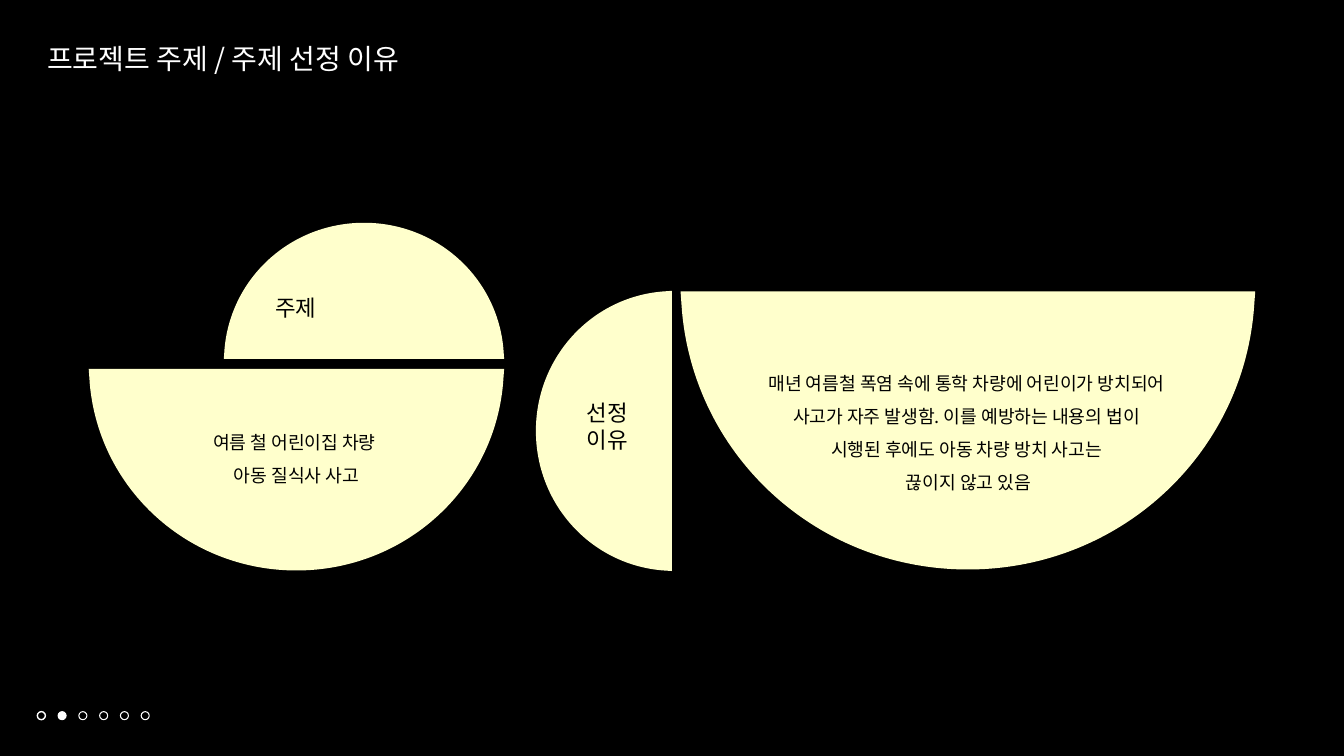
from lxml import etree
from pptx import Presentation
from pptx.dml.color import RGBColor
from pptx.enum.shapes import MSO_SHAPE
from pptx.enum.text import MSO_ANCHOR, MSO_AUTO_SIZE, PP_ALIGN
from pptx.oxml.ns import qn
from pptx.util import Inches, Pt

BLACK = RGBColor(0x00, 0x00, 0x00)
WHITE = RGBColor(0xFF, 0xFF, 0xFF)
CREAM = RGBColor(0xFF, 0xFF, 0xCC)
FONT = "Noto Sans CJK KR"
OVAL = MSO_SHAPE.OVAL
CENTER, MIDDLE = PP_ALIGN.CENTER, MSO_ANCHOR.MIDDLE
FIT_SHAPE = MSO_AUTO_SIZE.SHAPE_TO_FIT_TEXT
UP, DOWN = 1, -1
# Two curve handles and the curve's end, as fractions of the radius from the apex
CURVE = [(0.52, 0), (0.95, 0.39), (0.995, 0.9)]
PAGE_COUNT, CURRENT_PAGE = 6, 1


def curve_through(lines):
    """Turn three consecutive line segments into one Bezier curve."""
    curve = etree.Element(qn("a:cubicBezTo"))
    lines[0].addprevious(curve)
    for line in lines:
        curve.append(line[0])
        line.getparent().remove(line)


def add_half_disc(slide, apex_x, apex_y, radius, depth, facing, rotation=0):
    right = [(x * radius, y * radius) for x, y in CURVE] + [(radius, depth)]
    left = [(-x, y) for x, y in reversed(right)]
    points = [(Inches(apex_x + x), Inches(apex_y + facing * y))
              for x, y in [(0, 0)] + right + left + [(0, 0)]]
    builder = slide.shapes.build_freeform(*points[0])
    builder.add_line_segments(points[1:], close=True)
    s = builder.convert_to_shape()
    lines = list(s._element.iter(qn("a:lnTo")))
    curve_through(lines[:3])
    curve_through(lines[-3:])
    s.rotation = rotation
    s.shadow.inherit = False
    s.fill.solid()
    s.fill.fore_color.rgb = CREAM
    s.line.fill.background()


def add_text(slide, box, lines, size, color=BLACK):
    s = slide.shapes.add_textbox(*(Inches(v) for v in box))
    tf = s.text_frame
    tf.text = "\n".join(lines)
    for p in tf.paragraphs:
        for r in p.runs:
            r.font.size = Pt(size)
            r.font.name = FONT
            r.font.color.rgb = color
    return tf


def add_label(slide, box, lines, size, color=BLACK):
    tf = add_text(slide, box, lines, size, color)
    tf.word_wrap = False
    tf.auto_size = FIT_SHAPE


def add_body(slide, box, lines):
    tf = add_text(slide, box, lines, 13)
    tf.word_wrap = True
    tf.vertical_anchor = MIDDLE
    for p in tf.paragraphs:
        p.alignment = CENTER
        p.line_spacing = 1.5


def add_page_dots(slide):
    size = Inches(0.08)
    for page in range(PAGE_COUNT):
        s = slide.shapes.add_shape(OVAL, Inches(0.37 + 0.206 * page), Inches(7.06), size, size)
        s.shadow.inherit = False
        s.line.color.rgb = WHITE
        s.line.width = Pt(1 if page == 0 else 0.75)
        if page == CURRENT_PAGE:
            s.fill.solid()
            s.fill.fore_color.rgb = WHITE
        else:
            s.fill.background()


def main():
    prs = Presentation()
    prs.slide_width, prs.slide_height = Inches(13.33), Inches(7.5)
    slide = prs.slides.add_slide(prs.slide_layouts[6])
    slide.background.fill.solid()
    slide.background.fill.fore_color.rgb = BLACK

    add_page_dots(slide)
    add_label(slide, (0.37, 0.36, 3.96, 0.44), ["프로젝트 주제 / 주제 선정 이유"], 20, WHITE)

    add_half_disc(slide, 3.61, 2.21, 1.39, 1.35, UP)
    add_half_disc(slide, 2.94, 5.66, 2.06, 2, DOWN)
    add_body(slide, (1.56, 4.03, 2.76, 0.93), ["여름 철 어린이집 차량 ", "아동 질식사 사고"])

    add_half_disc(slide, 5.99, 3.6, 1.39, 1.35, UP, rotation=270)
    add_half_disc(slide, 9.6, 5.65, 2.85, 2.76, DOWN)
    add_label(slide, (5.72, 3.91, 0.63, 0.64), ["선정", "이유"], 16)
    add_body(slide, (6.95, 3.41, 5.31, 1.66), [
        "매년 여름철 폭염 속에 통학 차량에 어린이가 방치되어 ",
        "사고가 자주 발생함. 이를 예방하는 내용의 법이 ",
        "시행된 후에도 아동 차량 방치 사고는 ",
        "끊이지 않고 있음",
    ])
    add_label(slide, (2.63, 2.87, 0.63, 0.37), ["주제"], 16)
    prs.save("out.pptx")


if __name__ == "__main__":
    main()
